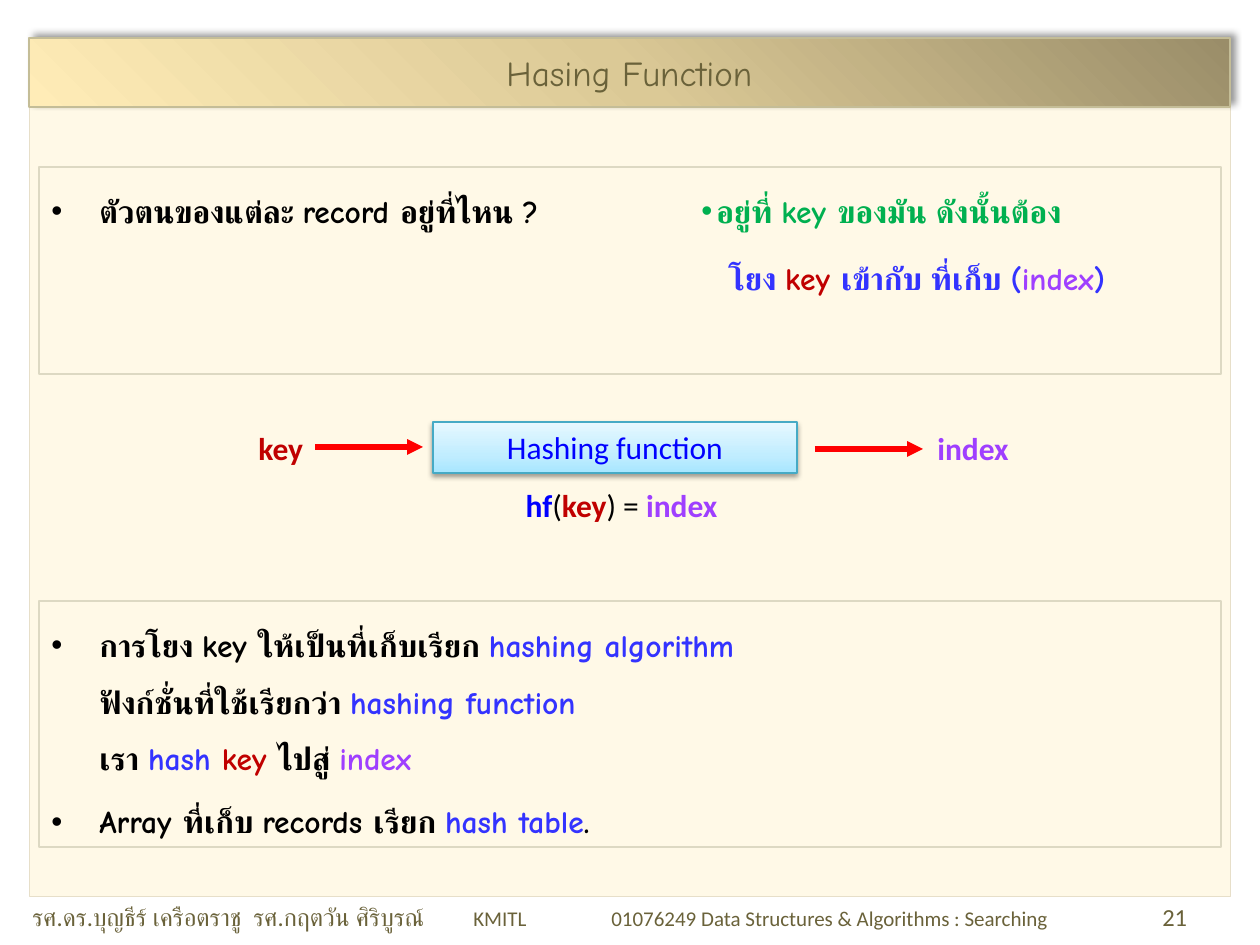
from lxml import etree
from pptx import Presentation
from pptx.dml.color import RGBColor
from pptx.enum.shapes import MSO_CONNECTOR, MSO_SHAPE
from pptx.enum.text import MSO_ANCHOR, PP_ALIGN
from pptx.oxml.ns import qn
from pptx.util import Pt

EMU_PER_PX = 914400 / 126
RECT = MSO_SHAPE.RECTANGLE
STRAIGHT = MSO_CONNECTOR.STRAIGHT
TOP, MIDDLE = MSO_ANCHOR.TOP, MSO_ANCHOR.MIDDLE
LEFT, CENTER = PP_ALIGN.LEFT, PP_ALIGN.CENTER
HEADING_FONT, BODY_FONT = "Comic Neue", "Calibri"
EXPLANATION = {"font": HEADING_FONT, "bold": True, "spacing": 1.5}

COLORS = {
    "panel": "FFF9E7", "panel_line": "E7DFC9", "title_line": "C4BD97",
    "frame": "DDD9C3", "olive": "6A623A", "black": "000000",
    "green": "00B050", "term": "3333FF", "key": "C00000",
    "index": "9F3FFF", "function": "0000FF", "function_line": "46AAC5",
    "arrow": "FF0000",
}
TITLE_GRADIENT = [(0, "9A8D69"), (50, "DBC996"), (100, "FFECB7")]
FUNCTION_GRADIENT = [(0, "A7E6FF"), (35, "C1EDFF"), (100, "E7F8FF")]


def px(length):
    return round(length * EMU_PER_PX)


def color(name):
    return RGBColor.from_string(COLORS[name])


def add_node(parent, tag, **attributes):
    return etree.SubElement(parent, qn(tag), {k: str(v) for k, v in attributes.items()})


def add_box(slide, bounds, line, width=0.75):
    box = slide.shapes.add_shape(RECT, *map(px, bounds))
    box.shadow.inherit = False
    box.fill.background()
    box.line.color.rgb = color(line)
    box.line.width = Pt(width)
    return box


def set_gradient(box, stops, angle):
    box.fill.gradient()
    gradient = box._element.spPr.find(qn("a:gradFill"))
    for child in list(gradient):
        gradient.remove(child)
    stop_list = add_node(gradient, "a:gsLst")
    for position, value in stops:
        stop = add_node(stop_list, "a:gs", pos=position * 1000)
        add_node(stop, "a:srgbClr", val=value)
    add_node(gradient, "a:lin", ang=angle * 60000, scaled=0)


def set_shadow(box, alpha, blur, distance, angle):
    effects = box._element.spPr.find(qn("a:effectLst"))
    shadow = add_node(effects, "a:outerShdw", blurRad=Pt(blur), dist=Pt(distance),
                      dir=angle * 60000, rotWithShape=0)
    tint = add_node(shadow, "a:srgbClr", val=COLORS["black"])
    add_node(tint, "a:alpha", val=alpha * 1000)


def add_text_box(slide, bounds, paragraphs, **style):
    box = slide.shapes.add_textbox(*map(px, bounds))
    return write(box, paragraphs, **style)


def write(box, paragraphs, anchor=TOP, gap=0, **style):
    frame = box.text_frame
    frame.word_wrap = True
    frame.vertical_anchor = anchor
    for number, runs in enumerate(paragraphs):
        paragraph = frame.add_paragraph() if number else frame.paragraphs[0]
        write_paragraph(paragraph, runs, **style)
        if number:
            paragraph.space_before = Pt(gap)
    return frame


def set_indent(paragraph, margin, first_line):
    properties = paragraph._p.get_or_add_pPr()
    properties.set("marL", str(px(margin)))
    properties.set("indent", str(px(first_line)))


def write_paragraph(paragraph, runs, size=18, font=BODY_FONT, align=LEFT,
                    bold=False, spacing=1.0, bullet_indent=0, tabs=()):
    paragraph.alignment = align
    paragraph.line_spacing = spacing
    properties = paragraph._p.get_or_add_pPr()
    if bullet_indent:
        set_indent(paragraph, bullet_indent, -bullet_indent)
        add_node(properties, "a:buFont", typeface="Arial")
        add_node(properties, "a:buChar", char="•")
    if tabs:
        tab_list = add_node(properties, "a:tabLst")
        for position in tabs:
            add_node(tab_list, "a:tab", pos=px(position), algn="l")
    paragraph.font.size = Pt(size)
    paragraph.font.name = font
    paragraph.font.bold = bold
    for text, shade, *changes in runs:
        if text.startswith("\n"):
            paragraph.add_line_break()
        run = paragraph.add_run()
        run.text = text.lstrip("\n")
        run.font.color.rgb = color(shade)
        for name, value in (changes[0] if changes else {}).items():
            setattr(run.font, name, value)


def add_arrow(slide, left, right, y):
    arrow = slide.shapes.add_connector(STRAIGHT, px(left), px(y), px(right), px(y))
    arrow.line.color.rgb = color("arrow")
    arrow.line.width = Pt(3)
    properties = arrow._element.spPr
    add_node(properties.find(qn("a:ln")), "a:tailEnd", type="triangle")
    add_node(properties, "a:effectLst")


def add_frame_and_title(slide):
    panel = add_box(slide, (29, 107, 1201, 789), "panel_line", 0.25)
    panel.fill.solid()
    panel.fill.fore_color.rgb = color("panel")
    small = {"size": Pt(12)}
    add_text_box(slide, (20, 896, 1221, 43), [[
        ("รศ.ดร.บุญธีร์ เครือตราชู\tรศ.กฤตวัน ศิริบูรณ์\t", "olive"),
        ("KMITL\t01076249 Data Structures & Algorithms : Searching\t", "olive", small),
        ("21", "olive"),
    ]], size=14, tabs=(221, 441, 579, 1130))
    title = add_box(slide, (29, 38, 1201, 69), "title_line")
    set_gradient(title, TITLE_GRADIENT, 135)
    set_shadow(title, 40, 4, 3, 315)
    write(title, [[("Hasing Function", "olive")]], MIDDLE,
          size=20, font=HEADING_FONT, align=CENTER)


def add_question_and_answer(slide):
    question = add_box(slide, (39, 167, 1182, 207), "frame")
    write(question, [[("ตัวตนของแต่ละ record อยู่ที่ไหน ?", "black")]],
          bullet_indent=48, **EXPLANATION)
    answer = add_text_box(slide, (689, 167, 512, 137), [
        [("อยู่ที่ key ของมัน ดังนั้นต้อง", "green")],
    ], bullet_indent=15, **EXPLANATION)
    mapping = answer.add_paragraph()
    write_paragraph(mapping, [
        ("โยง ", "term"), ("key ", "key"), ("เข้ากับ ที่เก็บ (", "term"),
        ("index", "index"), (")", "term"),
    ], **EXPLANATION)
    mapping.space_before = Pt(6)
    set_indent(mapping, 27, 0)


def add_definitions(slide):
    definitions = add_box(slide, (39, 601, 1182, 246), "frame")
    write(definitions, [
        [("การโยง key ให้เป็นที่เก็บเรียก ", "black"), ("hashing algorithm", "term"),
         ("\nฟังก์ชั่นที่ใช้เรียกว่า ", "black"), ("hashing function", "term"),
         ("\nเรา ", "black"), ("hash ", "term"), ("key ", "key"),
         ("ไปสู่ ", "black"), ("index", "index")],
        [("Array ที่เก็บ records เรียก ", "black"), ("hash table", "term"), (".", "black")],
    ], gap=3.6, bullet_indent=48, **EXPLANATION)


def add_hashing_diagram(slide):
    function = add_box(slide, (433, 422, 364, 51), "function_line")
    set_gradient(function, FUNCTION_GRADIENT, 270)
    set_shadow(function, 38, 3.1, 1.6, 90)
    write(function, [[("Hashing function", "function")]], align=CENTER)
    add_arrow(slide, 315, 423, 447)
    add_arrow(slide, 815, 923, 449)
    add_text_box(slide, (246, 423, 77, 51), [[("key", "key")]], bold=True)
    add_text_box(slide, (925, 423, 108, 51), [[("index", "index")]], bold=True)
    strong = {"bold": True}
    add_text_box(slide, (512, 480, 219, 51), [[
        ("hf", "function", strong), ("(", "black"), ("key", "key", strong),
        (") = ", "black"), ("index", "index", strong),
    ]], align=CENTER)


def main():
    presentation = Presentation()
    presentation.slide_width, presentation.slide_height = px(1260), px(945)
    slide = presentation.slides.add_slide(presentation.slide_layouts[6])
    add_frame_and_title(slide)
    add_question_and_answer(slide)
    add_definitions(slide)
    add_hashing_diagram(slide)
    presentation.save("out.pptx")


if __name__ == "__main__":
    main()
